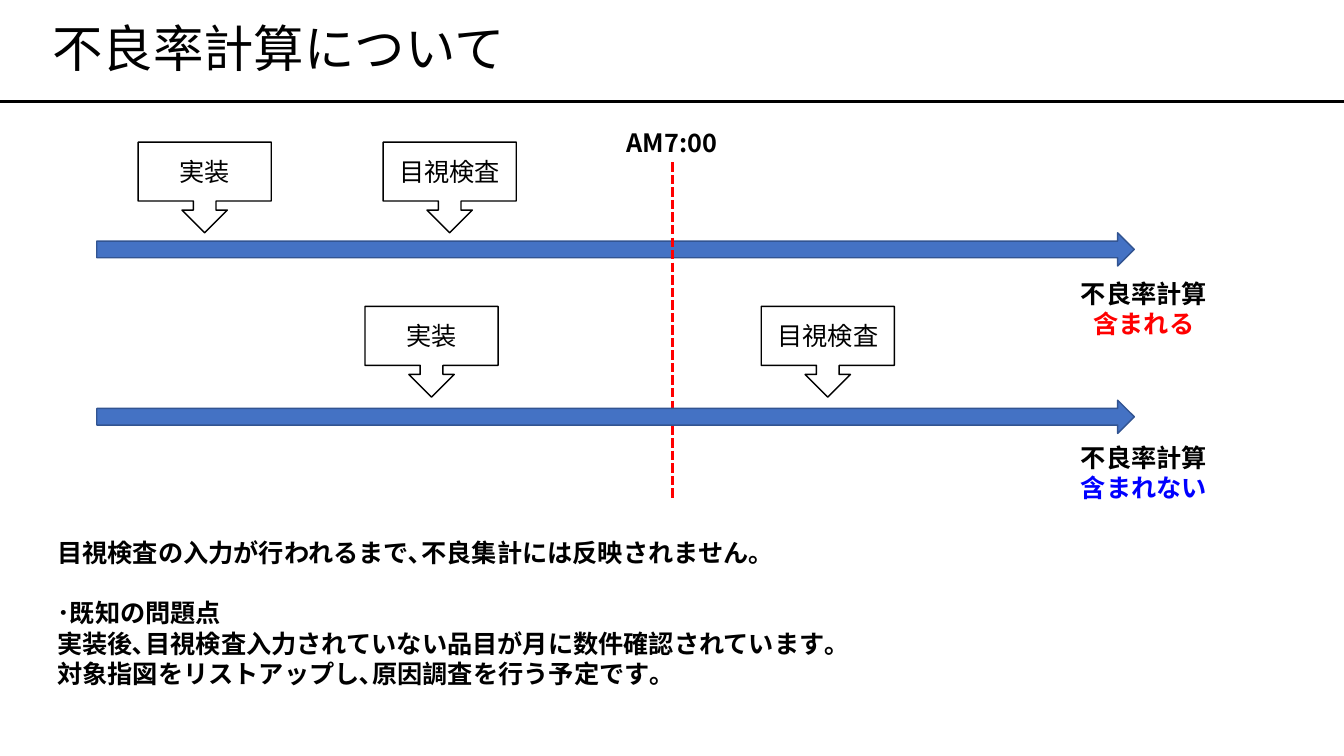
from dataclasses import dataclass

from lxml import etree
from pptx import Presentation
from pptx import util as u
from pptx.dml.color import RGBColor
from pptx.enum import dml, shapes, text
from pptx.oxml import ns

PX = 9144  # EMU per px, 100 px to the inch


@dataclass(frozen=True)
class Theme:
    font: str = "Noto Sans CJK JP"
    black: str = "000000"
    red: str = "FF0000"
    blue: str = "0000FF"
    arrow_fill: str = "4472C4"
    arrow_line: str = "325491"
    title_size: int = 36
    body_size: int = 18
    thin: float = 1
    thick: float = 2.25


class SlideBuilder:
    def __init__(self, page, theme):
        self.page = page
        self.theme = theme

    def set_lines(self, frame, lines, size=None, bold=False, align=text.PP_ALIGN.LEFT):
        """Fill a frame with (wording, colour) lines."""
        frame.word_wrap = True
        frame.text = "\n".join(wording for wording, _ in lines)
        for para, (_, colour) in zip(frame.paragraphs, lines):
            para.alignment = align
            for span in para.runs:
                span.font.size = u.Pt(size or self.theme.body_size)
                span.font.bold = bold
                span.font.name = self.theme.font
                span.font.color.rgb = RGBColor.from_string(colour)
                east_asian = etree.SubElement(span.font._element, ns.qn("a:ea"))
                east_asian.set("typeface", self.theme.font)

    def label(self, left, top, width, height, lines, **style):
        box = self.page.shapes.add_textbox(*(n * PX for n in (left, top, width, height)))
        self.set_lines(box.text_frame, lines, **style)
        return box.text_frame

    def shape(self, kind, left, top, width, height, line, fill=None):
        box = self.page.shapes.add_shape(kind, *(n * PX for n in (left, top, width, height)))
        box.shadow.inherit = False
        if fill:
            box.fill.solid()
            box.fill.fore_color.rgb = RGBColor.from_string(fill)
        else:
            box.fill.background()
        box.line.color.rgb = RGBColor.from_string(line)
        box.line.width = u.Pt(self.theme.thin)
        return box

    def callout(self, left, top, wording):
        box = self.shape(shapes.MSO_SHAPE.DOWN_ARROW_CALLOUT, left, top, 132, 90,
                         self.theme.black)
        box.text_frame.vertical_anchor = text.MSO_ANCHOR.MIDDLE
        self.set_lines(box.text_frame, [(wording, self.theme.black)],
                       align=text.PP_ALIGN.CENTER)

    def time_arrow(self, top):
        self.shape(shapes.MSO_SHAPE.RIGHT_ARROW, 96, top, 1029, 33,
                   self.theme.arrow_line, self.theme.arrow_fill)

    def line(self, x1, y1, x2, y2, colour, dash=None):
        rule = self.page.shapes.add_connector(
            shapes.MSO_CONNECTOR.STRAIGHT, *(n * PX for n in (x1, y1, x2, y2)))
        rule.line.color.rgb = RGBColor.from_string(colour)
        rule.line.width = u.Pt(self.theme.thick)
        rule.line.dash_style = dash
        etree.SubElement(rule._element.spPr, ns.qn("a:effectLst"))


def main():
    theme = Theme()
    deck = Presentation()
    deck.slide_width, deck.slide_height = u.Inches(13.33), u.Inches(7.5)
    slide = SlideBuilder(deck.slides.add_slide(deck.slide_layouts[6]), theme)
    center = text.PP_ALIGN.CENTER

    # Header
    slide.line(0, 101, 1333, 101, theme.black)
    title = slide.label(42, 17, 1209, 67, [("不良率計算について", theme.black)],
                        size=theme.title_size)
    title.vertical_anchor = text.MSO_ANCHOR.MIDDLE
    title.paragraphs[0].line_spacing = 0.9

    # Timelines, with the cut-off line above the first and below the second
    slide.time_arrow(231)
    slide.line(667, 161, 667, 495, theme.red, dml.MSO_LINE.SQUARE_DOT)
    slide.label(601, 121, 131, 40, [("AM7:00", theme.black)], bold=True, align=center)
    slide.time_arrow(397)

    # Process steps and result of each timeline
    timelines = [
        (141, 137, 380, "含まれる", theme.red),
        (304, 362, 755, "含まれない", theme.blue),
    ]
    for top, mounting, inspection, result, colour in timelines:
        slide.callout(mounting, top, "実装")
        slide.callout(inspection, top, "目視検査")
        slide.label(1018, top + 130, 233, 71,
                    [("不良率計算", theme.black), (result, colour)],
                    bold=True, align=center)

    # Explanation
    notes = [
        "目視検査の入力が行われるまで､不良集計には反映されません｡",
        "･既知の問題点",
        "実装後､目視検査入力されていない品目が月に数件確認されています｡",
        "対象指図をリストアップし､原因調査を行う予定です｡",
    ]
    frame = slide.label(47, 528, 839, 162, [(note, theme.black) for note in notes],
                        bold=True)
    frame.paragraphs[1].space_before = u.Pt(21.6)

    deck.save("out.pptx")


if __name__ == "__main__":
    main()
